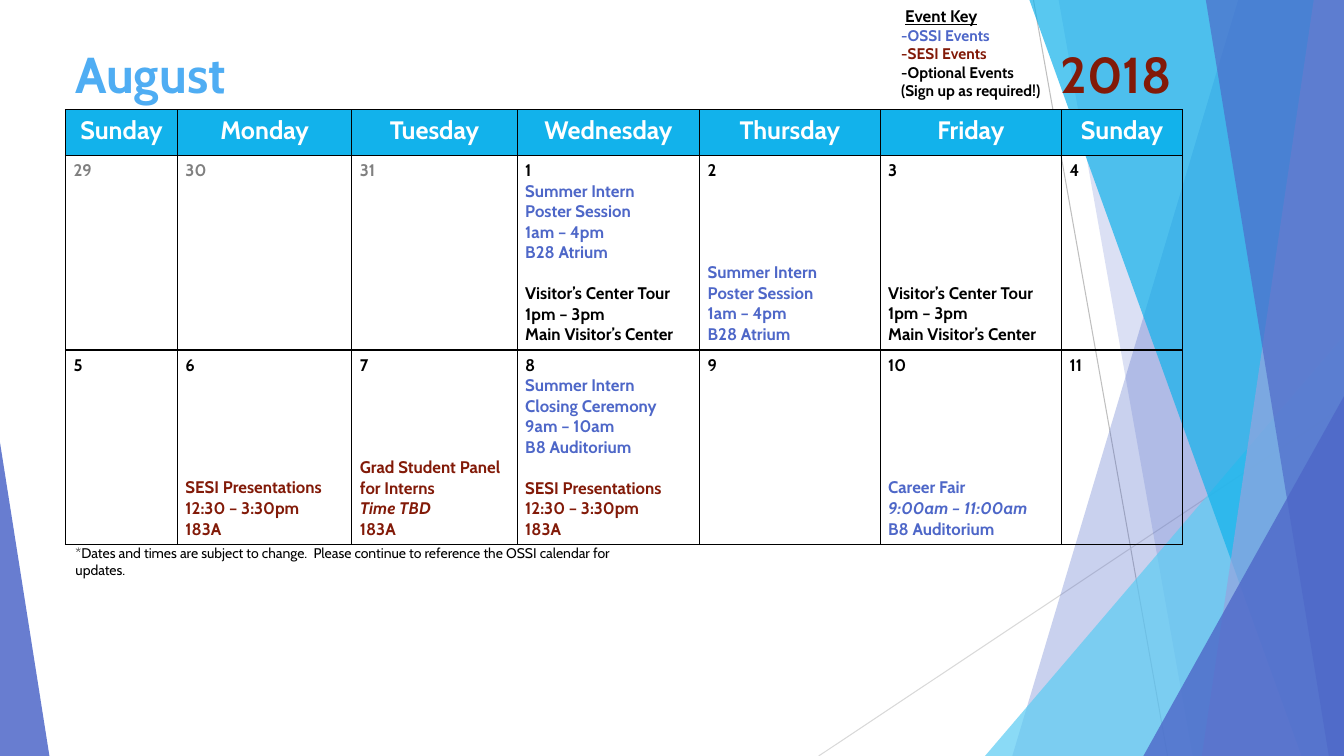
from dataclasses import dataclass

import pptx
import pptx.dml.color
import pptx.enum.shapes
import pptx.enum.text
import pptx.oxml
import pptx.oxml.ns
import pptx.util
from pptx.util import Inches

ALIGN = pptx.enum.text.PP_ALIGN
ANCHOR = pptx.enum.text.MSO_ANCHOR
BLACK, GRAY, WHITE = "000000", "808080", "FFFFFF"
BLUE, RED, CYAN, SKY = "4E67C8", "821A08", "12B2EB", "4FADF3"
FONT = "Cabin"
LINE_PITCH = 14.6  # points taken by one 12 pt line
WIDTH, HEIGHT = 13.33, 7.5


@dataclass
class Span:
    text: str
    color: str = BLACK
    size: float = 12
    bold: bool = True
    italic: bool = False
    underline: bool = False


@dataclass
class Line:
    spans: list[Span]
    align: ALIGN = ALIGN.LEFT
    gap: int = 0  # free lines above


@dataclass
class Event:
    lines: list[str]
    color: str
    gap: int = 0
    italic_line: int = -1


@dataclass
class Day:
    number: str
    events: tuple[Event, ...] = ()
    color: str = BLACK


@dataclass
class Facet:
    """Four-sided panel reaching the right edge of the slide."""
    top: float
    bottom: float
    color: str
    opacity: int


@dataclass
class Wedge:
    left: float
    top: float
    width: float
    peak: float
    color: str
    opacity: int


@dataclass
class Caption:
    box: tuple[float, float, float, float]
    lines: list[Line]
    anchor: ANCHOR = ANCHOR.TOP


def rgb(color: str) -> pptx.dml.color.RGBColor:
    return pptx.dml.color.RGBColor.from_string(color)


def write(frame, lines: list[Line]) -> None:
    frame.word_wrap = True
    for index, line in enumerate(lines):
        para = frame.add_paragraph() if index else frame.paragraphs[0]
        para.alignment = line.align
        if line.gap:
            para.space_before = pptx.util.Pt(line.gap * LINE_PITCH)
        for span in line.spans:
            run = para.add_run()
            run.text = span.text
            formats = {"name": FONT, "size": pptx.util.Pt(span.size), "bold": span.bold,
                       "italic": span.italic, "underline": span.underline}
            for name, value in formats.items():
                setattr(run.font, name, value)
            run.font.color.rgb = rgb(span.color)


def paint(shape, color: str, opacity: int) -> None:
    shape.shadow.inherit = False
    shape.line.fill.background()
    shape.fill.solid()
    shape.fill.fore_color.rgb = rgb(color)
    tint = shape.fill._xPr.find(".//" + pptx.oxml.ns.qn("a:srgbClr"))
    tint.append(pptx.oxml.parse_xml(
        f'<a:alpha {pptx.oxml.ns.nsdecls("a")} val="{opacity * 1000}"/>'))


def draw_ray(page, start: tuple[float, float], end: tuple[float, float], color: str) -> None:
    ray = page.shapes.add_connector(
        pptx.enum.shapes.MSO_CONNECTOR.STRAIGHT, *map(Inches, start + end))
    ray.line.color.rgb = rgb(color)
    ray.line.width = pptx.util.Pt(0.75)
    ray._element.spPr.append(pptx.oxml.parse_xml(
        f'<a:effectLst {pptx.oxml.ns.nsdecls("a")}/>'))


def draw_facet(page, facet: Facet) -> None:
    corners = [(facet.top, 0), (WIDTH, 0), (WIDTH, HEIGHT), (facet.bottom, HEIGHT)]
    points = [(Inches(x), Inches(y)) for x, y in corners]
    builder = page.shapes.build_freeform(*points[0])
    builder.add_line_segments(points[1:], close=True)
    paint(builder.convert_to_shape(), facet.color, facet.opacity)


def draw_wedge(page, wedge: Wedge) -> None:
    shape = page.shapes.add_shape(
        pptx.enum.shapes.MSO_SHAPE.ISOSCELES_TRIANGLE, Inches(wedge.left), Inches(wedge.top),
        Inches(wedge.width), Inches(HEIGHT - wedge.top))
    shape.adjustments[0] = wedge.peak
    paint(shape, wedge.color, wedge.opacity)


def draw_caption(page, caption: Caption) -> None:
    box = page.shapes.add_textbox(*map(Inches, caption.box))
    box.text_frame.vertical_anchor = caption.anchor
    write(box.text_frame, caption.lines)


def border(cell) -> None:
    properties = cell._tc.get_or_add_tcPr()
    for side in ("lnL", "lnR", "lnT", "lnB"):
        properties.append(pptx.oxml.parse_xml(
            f'<a:{side} {pptx.oxml.ns.nsdecls("a")} w="12700"><a:solidFill>'
            f'<a:srgbClr val="{BLACK}"/></a:solidFill></a:{side}>'))


def day_lines(day: Day) -> list[Line]:
    lines = [Line([Span(day.number, day.color)])]
    for event in day.events:
        for index, text in enumerate(event.lines):
            span = Span(text, event.color, italic=index == event.italic_line)
            lines.append(Line([span], gap=0 if index else event.gap))
    return lines


def draw_calendar(page, rows: list[list[list[Line]]]) -> None:
    widths, heights = [1.11, 1.73, 1.64, 1.81, 1.79, 1.8, 1.2], [0.45, 1.93, 1.93]
    table = page.shapes.add_table(
        len(heights), len(widths), Inches(0.65), Inches(1.09),
        Inches(sum(widths)), Inches(sum(heights))).table
    for column, width in zip(table.columns, widths):
        column.width = Inches(width)
    for index, (row, height) in enumerate(zip(table.rows, heights)):
        row.height = Inches(height)
        for cell, lines in zip(row.cells, rows[index]):
            cell.margin_left = cell.margin_right = Inches(0.08)
            cell.margin_top = cell.margin_bottom = Inches(0.05)
            border(cell)
            if index:
                cell.fill.background()
            else:
                cell.fill.solid()
                cell.fill.fore_color.rgb = rgb(CYAN)
            write(cell.text_frame, lines)


# Calendar content
POSTER = ["Summer Intern", "Poster Session", "1am – 4pm", "B28 Atrium"]
TOUR = ["Visitor’s Center Tour", "1pm – 3pm", "Main Visitor’s Center"]
CLOSING = ["Summer Intern", "Closing Ceremony", "9am – 10am", "B8 Auditorium"]
TALKS = ["SESI Presentations", "12:30 – 3:30pm", "183A"]
PANEL = ["Grad Student Panel for Interns", "Time TBD", "183A"]
FAIR = ["Career Fair", "9:00am – 11:00am", "B8 Auditorium"]
WEEKDAYS = ["Sunday", "Monday", "Tuesday", "Wednesday", "Thursday", "Friday", "Sunday"]
WEEKS = [
    [Day("29", color=GRAY), Day("30", color=GRAY), Day("31", color=GRAY),
     Day("1", (Event(POSTER, BLUE), Event(TOUR, BLACK, 1))),
     Day("2", (Event(POSTER, BLUE, 4),)), Day("3", (Event(TOUR, BLACK, 5),)), Day("4")],
    [Day("5"), Day("6", (Event(TALKS, RED, 5),)), Day("7", (Event(PANEL, RED, 4, 1),)),
     Day("8", (Event(CLOSING, BLUE), Event(TALKS, RED, 1))),
     Day("9"), Day("10", (Event(FAIR, BLUE, 5, 1),)), Day("11")],
]
NOTE = ("*Dates and times are subject to change.  Please continue to reference "
        "the OSSI calendar for updates.")
KEY = [("-OSSI Events", BLUE), ("-SESI Events", RED),
       ("-Optional Events", BLACK), ("(Sign up as required!)", BLACK)]
CAPTIONS = [
    Caption((0.65, 0.37, 2.24, 0.72), [Line([Span("August", SKY, 36)])], ANCHOR.MIDDLE),
    Caption((9.72, 0.37, 2, 0.72), [Line([Span("2018", RED, 36)], ALIGN.RIGHT)], ANCHOR.MIDDLE),
    Caption((0.65, 5.35, 6.01, 0.27), [Line([Span(NOTE, size=10, bold=False)])]),
    Caption((8.84, 0.01, 1.62, 1.04),
            [Line([Span(" "), Span("Event Key", underline=True)])]
            + [Line([Span(text, color, 11)]) for text, color in KEY]),
]
BACKDROP = [
    Facet(12.28, 10.04, BLUE, 30), Facet(10.5, 11.83, BLUE, 20),
    Wedge(9.77, 3.33, 3.56, 1, "5ECCF3", 72),
    Facet(10.21, 12.91, CYAN, 70), Facet(13.03, 11.92, "95A4DE", 70),
    Facet(11.96, 13.18, BLUE, 65),
    Wedge(11.34, 3.93, 1.99, 1, BLUE, 80), Wedge(0, 4.39, 0.49, 0, BLUE, 85),
]

deck = pptx.Presentation()
deck.slide_width, deck.slide_height = Inches(WIDTH), Inches(HEIGHT)
page = deck.slides.add_slide(deck.slide_layouts[6])

# Backdrop
draw_ray(page, (10.25, 0), (11.58, HEIGHT), "BFBFBF")
draw_ray(page, (WIDTH, 4.03), (8.12, HEIGHT), "D9D9D9")
for part in BACKDROP:
    (draw_facet if isinstance(part, Facet) else draw_wedge)(page, part)

# Calendar and captions
header = [[Line([Span(name, WHITE, 18)], ALIGN.CENTER)] for name in WEEKDAYS]
draw_calendar(page, [header] + [[day_lines(day) for day in week] for week in WEEKS])
for caption in CAPTIONS:
    draw_caption(page, caption)

deck.save("out.pptx")
